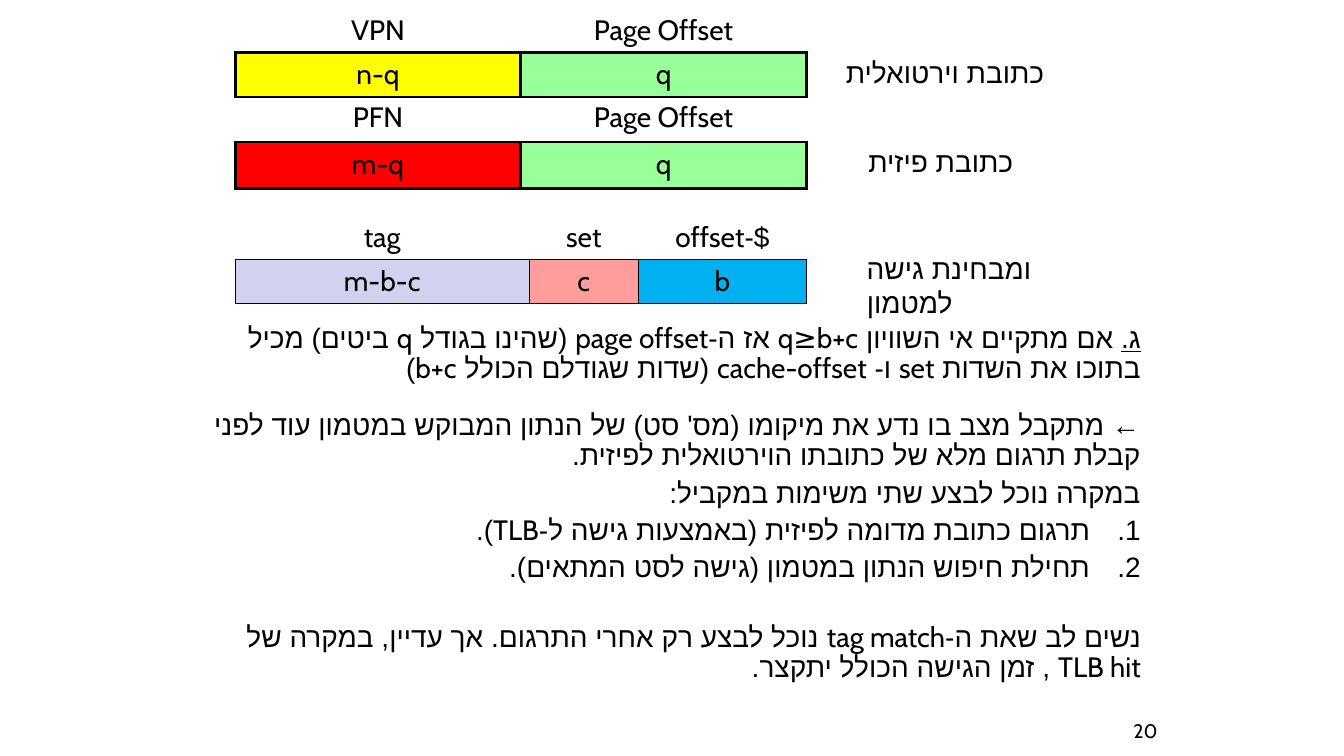
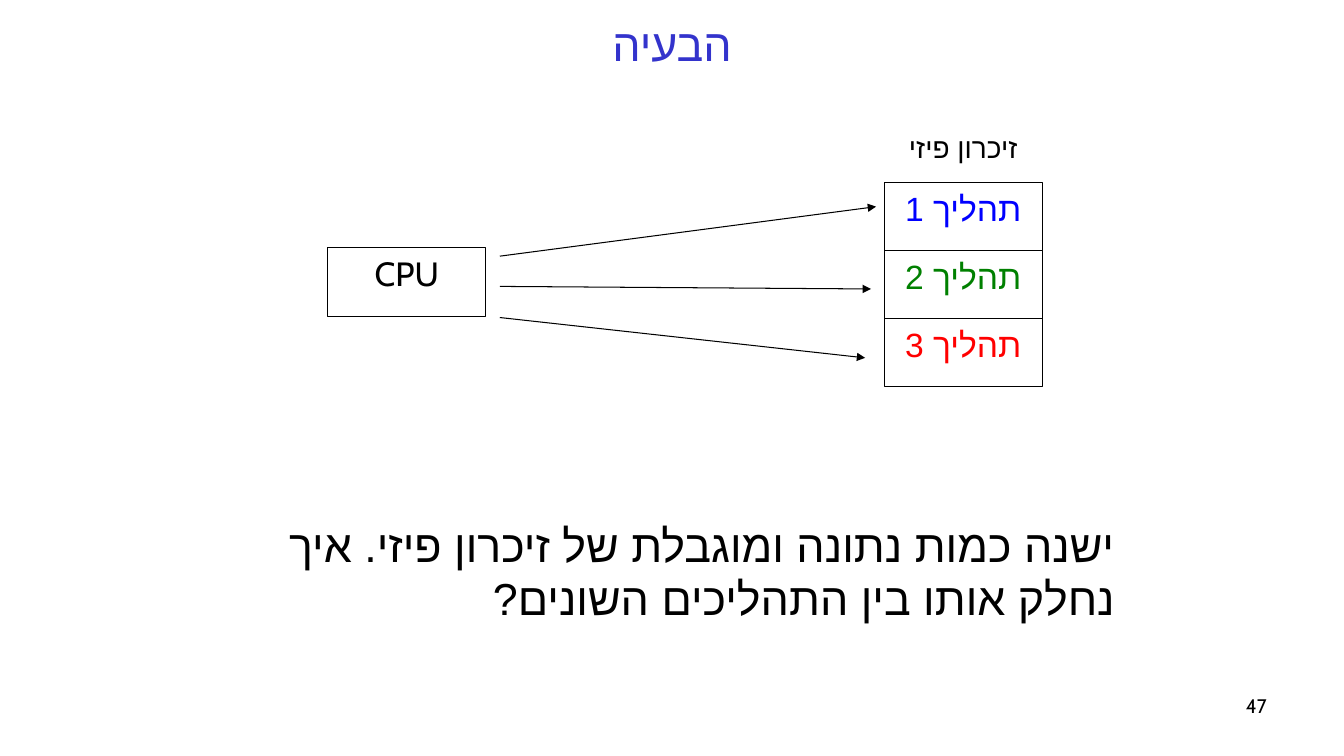
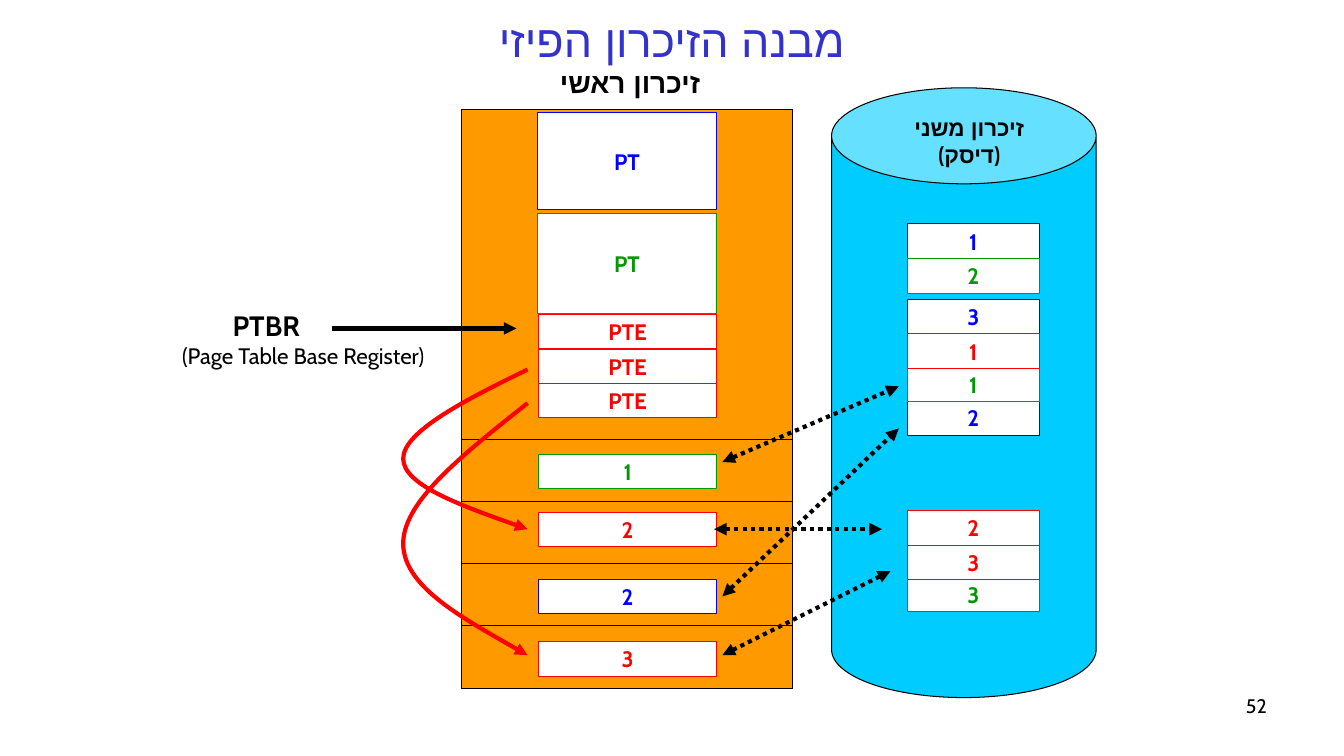
from lxml.etree import SubElement
from pptx import Presentation
from pptx.dml.color import RGBColor
from pptx.enum.shapes import MSO_CONNECTOR, MSO_SHAPE
from pptx.enum.text import MSO_ANCHOR, MSO_AUTO_SIZE, PP_ALIGN
from pptx.oxml.ns import qn
from pptx.util import Inches, Pt

COLS, ROWS = 160, 90
BLACK, WHITE, TITLE = "000000", "FFFFFF", "3333CC"
BLUE, GREEN, RED = "0000FF", "009900", "FF0000"
LEFT, CENTER, RIGHT = PP_ALIGN.LEFT, PP_ALIGN.CENTER, PP_ALIGN.RIGHT
TOP, MIDDLE = MSO_ANCHOR.TOP, MSO_ANCHOR.MIDDLE
NO_TABLE_STYLE = "{2D5ABB26-0587-4C30-8999-92F81FD0307C}"


def rgb(color):
    return RGBColor.from_string(color)


class Deck:
    font = "Cabin"
    hebrew_font = "Arial"

    def __init__(self):
        self.prs = Presentation()
        self.prs.slide_width = Inches(40 / 3)
        self.prs.slide_height = Inches(7.5)
        self.s = None

    def x(self, cols):
        return round(self.prs.slide_width * cols / COLS)

    def y(self, rows):
        return round(self.prs.slide_height * rows / ROWS)

    def box(self, x, y, w, h):
        return self.x(x), self.y(y), self.x(w), self.y(h)

    def slide(self, number, title=None, x=8, y=1, font=None, number_at=(152, 82)):
        layout = self.prs.slide_layouts[5 if title else 6]
        self.s = self.prs.slides.add_slide(layout)
        if title:
            sp = self.s.shapes.title
            sp.left, sp.top, sp.width, sp.height = self.box(x, y, COLS - 2 * x, 8.4)
            self.fill_text(sp.text_frame, [title], 32, TITLE, CENTER, MIDDLE, rtl=True,
                           font=font)
        right, top = number_at
        self.text([number], right - 6, top, 6, 4, 14, align=RIGHT)

    def fill_text(self, tf, lines, size, color=BLACK, align=LEFT, anchor=TOP,
                  bold=False, rtl=False, spacing=None, gap=0, font=None):
        tf.word_wrap = True
        tf.auto_size = MSO_AUTO_SIZE.NONE
        tf.vertical_anchor = anchor
        return self.fill_lines(tf, lines, size, color, align, bold, rtl, spacing, gap, font)

    def fill_lines(self, tf, lines, size, color=BLACK, align=LEFT, bold=False,
                   rtl=False, spacing=None, gap=0, font=None):
        for i, line in enumerate(lines):
            p = tf.add_paragraph() if i else tf.paragraphs[0]
            first, *rest = [line] if isinstance(line, str) else line
            p.text = first
            for part in rest:
                p.add_run().text = part
            p.alignment = align
            if spacing:
                p.line_spacing = spacing
            if i and gap:
                p.space_before = Pt(gap)
            if rtl:
                p._p.get_or_add_pPr().set("rtl", "1")
            for r in p.runs:
                r.font.size = Pt(size)
                r.font.bold = bold
                r.font.color.rgb = rgb(color)
                r.font.name = font or self.font
                SubElement(r._r.get_or_add_rPr(), qn("a:cs"), typeface=self.hebrew_font)
        return tf.paragraphs

    def text(self, lines, x, y, w, h, size, **style):
        sp = self.s.shapes.add_textbox(*self.box(x, y, w, h))
        return self.fill_text(sp.text_frame, lines, size, **style)

    def body(self, lines, x, y, w, h, size=20, spacing=0.9):
        return self.text(lines, x, y, w, h, size, align=RIGHT, rtl=True,
                         spacing=spacing, gap=5)

    def indent(self, p, inches, hanging=False):
        pPr = p._p.get_or_add_pPr()
        pPr.set("marL", str(Inches(inches)))
        if hanging:
            pPr.set("indent", str(-Inches(inches)))
            SubElement(pPr, qn("a:buFont"), typeface=self.hebrew_font)
            SubElement(pPr, qn("a:buAutoNum"), type="arabicPeriod")

    def shape(self, x, y, w, h, fill=WHITE, line=BLACK, kind=MSO_SHAPE.RECTANGLE):
        sp = self.s.shapes.add_shape(kind, *self.box(x, y, w, h))
        sp.shadow.inherit = False
        sp.fill.solid()
        sp.fill.fore_color.rgb = rgb(fill)
        sp.line.color.rgb = rgb(line)
        sp.line.width = Pt(0.75)
        return sp

    def label(self, text, x, y, w, h, color, line=None, size=16, bold=True, anchor=MIDDLE):
        sp = self.shape(x, y, w, h, line=line or color)
        self.fill_text(sp.text_frame, [text], size, color, CENTER, anchor, bold)

    def stroke(self, sp, color, width, dash=None, ends=()):
        sp.line.color.rgb = rgb(color)
        sp.line.width = Pt(width)
        ln = sp.element.spPr.find(qn("a:ln"))
        if dash:
            SubElement(ln, qn("a:prstDash"), val=dash)
        for end in ends:
            SubElement(ln, qn(f"a:{end}End"), type="triangle")

    def line(self, x1, y1, x2, y2, width=0.75, dash=None, ends=()):
        sp = self.s.shapes.add_connector(
            MSO_CONNECTOR.STRAIGHT, self.x(x1), self.y(y1), self.x(x2), self.y(y2))
        self.stroke(sp, BLACK, width, dash, ends)
        SubElement(sp.element.spPr, qn("a:effectLst"))

    def curve(self, x, bulge, rows, color=RED):
        middle = (x + bulge) / 2
        cols = [x, middle, bulge, bulge, bulge, middle, x]
        start, *points = [(self.x(c), self.y(r)) for c, r in zip(cols, rows)]
        builder = self.s.shapes.build_freeform(*start)
        builder.add_line_segments(points, close=False)
        sp = builder.convert_to_shape()
        sp.shadow.inherit = False
        sp.fill.background()
        self.stroke(sp, color, 3, ends=["tail"])
        outline = sp.element.spPr.find(".//" + qn("a:path"))
        segments = outline.findall(qn("a:lnTo"))
        for i in range(0, len(segments), 3):
            bezier = SubElement(outline, qn("a:cubicBezTo"))
            for segment in segments[i:i + 3]:
                bezier.append(segment[0])
                outline.remove(segment)

    def border(self, cell, sides, width):
        tcPr = cell._tc.get_or_add_tcPr()
        for side in sides:
            ln = SubElement(tcPr, qn(f"a:ln{side}"), w=str(Pt(width)))
            fill = SubElement(ln, qn("a:solidFill"))
            SubElement(fill, qn("a:srgbClr"), val=BLACK)

    def address(self, y, row_h, widths, heads, fields, fills, border):
        frame = self.s.shapes.add_table(
            2, len(widths), *self.box(28, y, sum(widths), 2 * row_h))
        frame.element.find(".//" + qn("a:tableStyleId")).text = NO_TABLE_STYLE
        tbl = frame.table
        tbl.first_row = tbl.horz_banding = False
        for col, width in zip(tbl.columns, widths):
            col.width = self.x(width)
        for i, texts in enumerate([heads, fields]):
            tbl.rows[i].height = self.y(row_h)
            for j, text in enumerate(texts):
                cell = tbl.cell(i, j)
                field = j < len(fills)
                if field:
                    self.border(cell, "LRTB" if i else "B", border)
                elif i:
                    self.border(cell, "L", border)
                if field and i:
                    cell.fill.solid()
                    cell.fill.fore_color.rgb = rgb(fills[j])
                else:
                    cell.fill.background()
                if text:
                    self.fill_lines(cell.text_frame, [text], 20, align=CENTER, rtl=True)


def address_slide(d):
    d.slide("20", number_at=(139, 85))
    lead = d.body([("ג.", " אם מתקיים אי השוויון q≥b+c אז ה-page offset (שהינו בגודל q ביטים) "
                    "מכיל בתוכו את השדות set ו- cache-offset (שדות שגודלם הכולל b+c)")],
                  24, 38, 113, 9)
    lead[0].runs[0].font.underline = True
    d.address(11.4, 5.5, [34, 34, 32], ["PFN", "Page Offset", ""],
              ["m-q", "q", "כתובת פיזית"], [RED, "99FF99"], 2.25)
    d.address(1, 5.25, [34, 34, 33], ["VPN", "Page Offset", ""],
              ["n-q", "q", "כתובת וירטואלית"], ["FFFF00", "99FF99"], 2.25)
    d.address(25.6, 5.25, [35, 13, 20], ["tag", "set", "$-offset"],
              ["m-b-c", "c", "b"], ["D1D1F0", "FF9D9D", "00B0F0"], 1)
    d.text(["ומבחינת גישה למטמון"], 102, 29.4, 22, 8.5, 20)
    steps = d.body([
        "← מתקבל מצב בו נדע את מיקומו (מס' סט) של הנתון המבוקש במטמון עוד לפני "
        "קבלת תרגום מלא של כתובתו הוירטואלית לפיזית.",
        "במקרה נוכל לבצע שתי משימות במקביל:",
        "תרגום כתובת מדומה לפיזית (באמצעות גישה ל-TLB).",
        "תחילת חיפוש הנתון במטמון (גישה לסט המתאים)."], 24, 48.4, 113, 14.3)
    for p in steps[2:]:
        d.indent(p, 0.5, hanging=True)
    d.body(["נשים לב שאת ה-tag match נוכל לבצע רק אחרי התרגום. אך עדיין, "
            "במקרה של TLB hit , זמן הגישה הכולל יתקצר."], 24, 73.6, 113, 13.8)


def problem_slide(d):
    d.slide("47", "הבעיה")
    d.body(["ישנה כמות נתונה ומוגבלת של זיכרון פיזי. איך נחלק אותו בין התהליכים השונים?"],
           26, 61, 108, 15, 32, spacing=None)
    box = {"line": BLACK, "size": 24, "bold": False, "anchor": TOP}
    memory_x, memory_w, process_h = 105.25, 18.85, 8.1
    d.label("CPU", 39, 29.5, memory_w, 8.2, BLACK, **box)
    for i, color in enumerate([BLUE, "008000", RED]):
        d.label(f"תהליך {i + 1}", memory_x, 21.75 + process_h * i, memory_w, process_h,
                color, **box)
    d.text(["זיכרון פיזי"], memory_x, 15, memory_w, 8, 20, align=CENTER)
    for y1, x2, y2 in [(30.5, 104.3, 24.6), (34.1, 103.7, 34.4), (37.8, 103, 42.6)]:
        d.line(59.5, y1, x2, y2, ends=["tail"])


def memory_slide(d):
    d.slide("52", "מבנה הזיכרון הפיזי", 26, 0.5, font="Arial")
    can = d.shape(99, 10.45, 31.5, 72.6, "00CCFF", kind=MSO_SHAPE.CAN)
    can.adjustments[0] = 0.363
    disk_pages = [
        (BLUE, [("2", 47.65), ("1", 26.65), ("3", 35.65)]),
        (GREEN, [("2", 30.75), ("1", 43.7), ("3", 68.65)]),
        (RED, [("2", 60.75), ("1", 39.75), ("3", 64.9)]),
    ]
    for color, pages in disk_pages:
        for page, y in pages:
            d.label(page, 108, y, 15.75, 4.15, color)
    d.text(["זיכרון משני", "(דיסק)"], 101, 13, 28.8, 7.7, 16, align=CENTER, bold=True)

    d.shape(55, 13, 39.4, 69, "FF9900")
    for i in range(4):
        y = 52.3 + 7.4 * i
        d.line(55, y, 94.4, y)
    frame_x, frame_w, frame_h = 64.1, 21.25, 4.1
    frames = [("3", 76.4, RED), ("2", 69, BLUE), ("1", 54.1, GREEN), ("2", 61, RED)]
    entries = [("PTE", 37.45 + frame_h * i, RED) for i in range(3)]
    for text, y, color in frames + entries:
        d.label(text, frame_x, y, frame_w, frame_h, color)
    d.label("PT", 64, 25.4, frame_w, 11.9, GREEN)
    d.label("PT", 64, 13.4, frame_w, 11.6, BLUE)
    d.text(["זיכרון ראשי"], 63.4, 7.2, 23.2, 6.4, 20, align=CENTER, bold=True)

    register = d.text(["PTBR", "(Page Table Base Register)"], 20.5, 36.1, 40, 6.4, 16)
    d.indent(register[0], 0.5)
    register[0].runs[0].font.size = Pt(20)
    register[0].runs[0].font.bold = True
    d.line(39.5, 39.1, 61.5, 39.1, 3, ends=["tail"])
    for rows in [(44, 47.6, 51.4, 54.6, 57.7, 60.4, 63),
                 (48, 53.9, 59.6, 64.7, 69.7, 73.8, 78)]:
        d.curve(62.8, 48, rows)
    for ends in [(85, 63, 105, 63), (86, 78, 106, 68), (86, 71, 107, 51), (86, 55, 107, 46)]:
        d.line(*ends, 3, "sysDot", ["head", "tail"])


def main():
    d = Deck()
    address_slide(d)
    problem_slide(d)
    memory_slide(d)
    d.prs.save("out.pptx")


if __name__ == "__main__":
    main()
